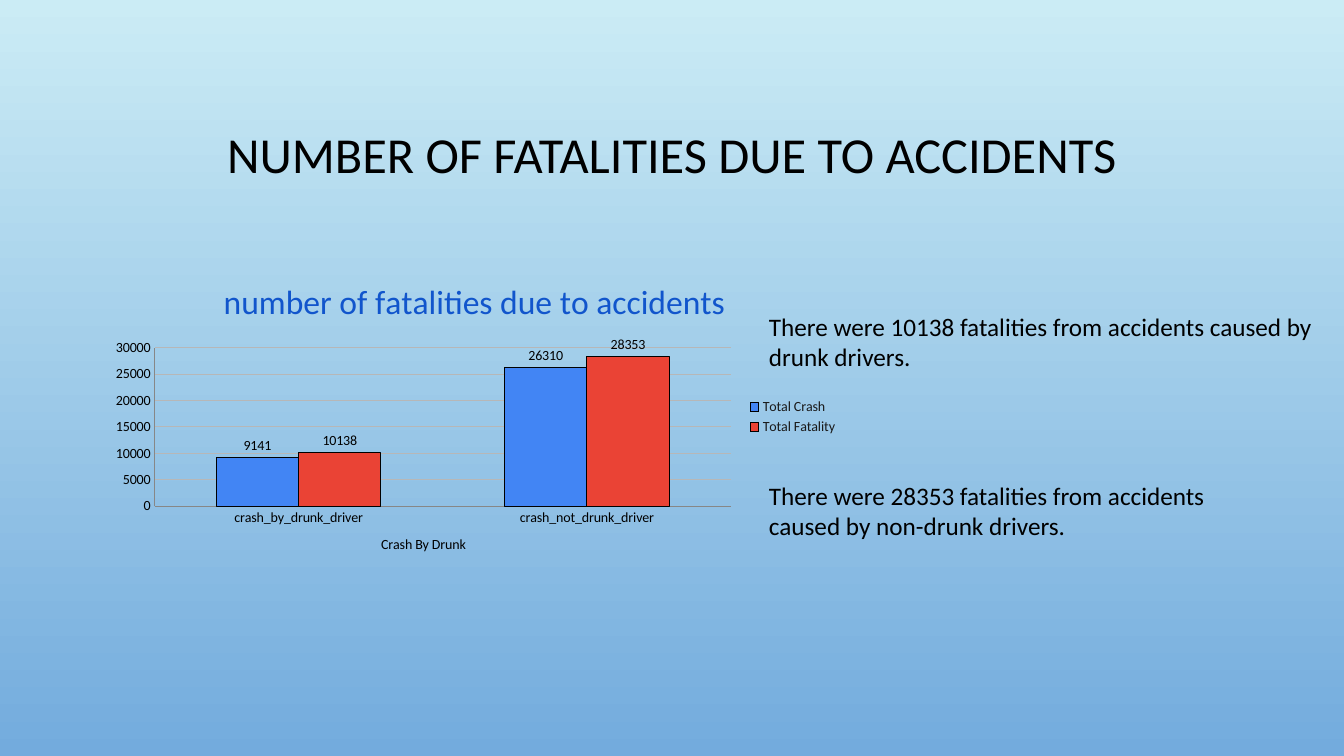
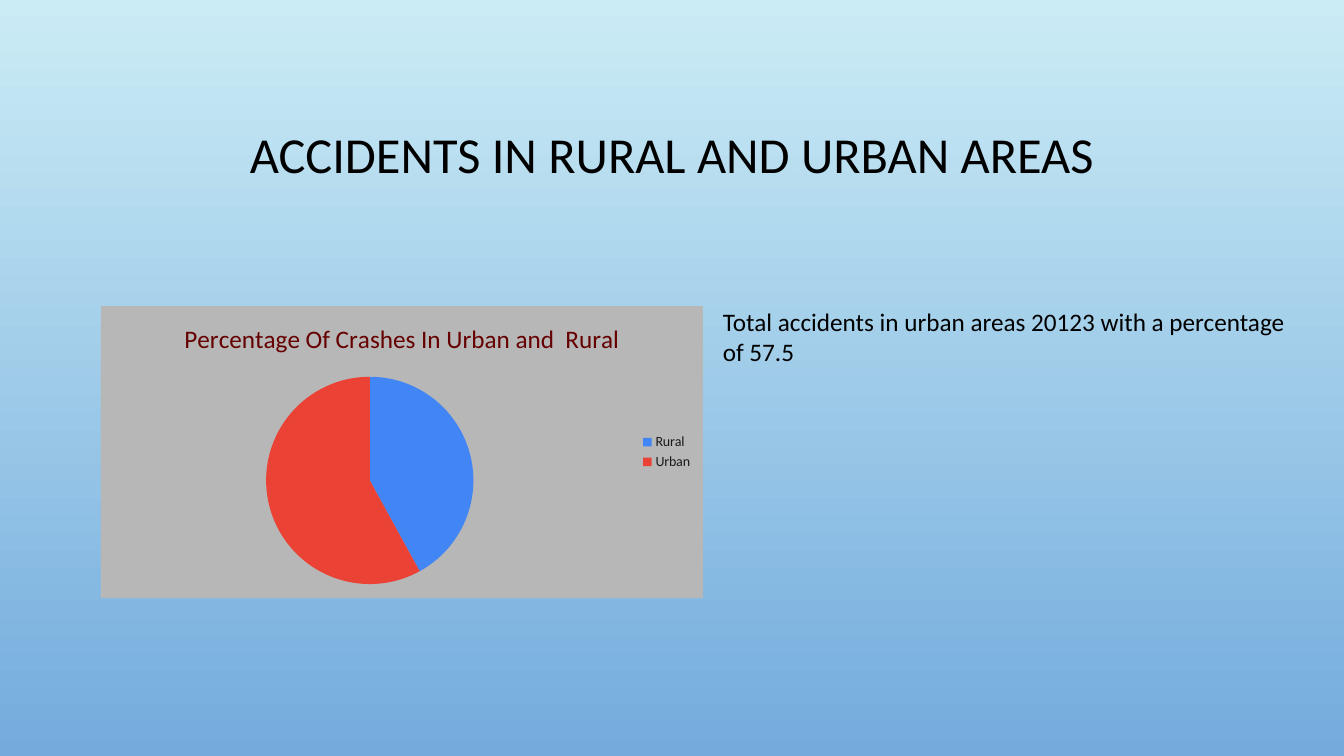
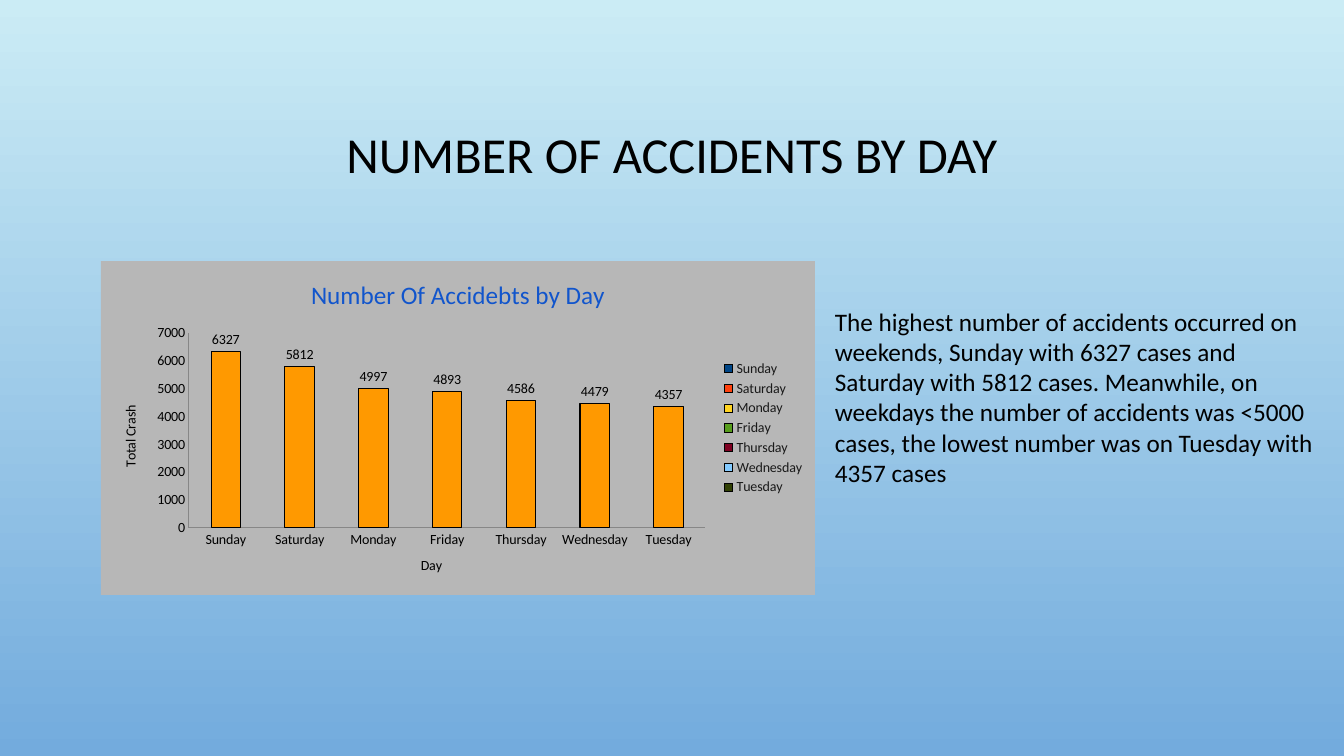
from dataclasses import dataclass
from typing import Optional

from lxml import etree
from pptx import Presentation
from pptx import util as u
from pptx.chart import data as cd
from pptx.dml import color as col
from pptx.enum import chart as ce
from pptx.enum import text as te
from pptx.oxml import ns

WIDE, HIGH = 1344, 756
UNIT = 12192000 / WIDE


@dataclass(frozen=True)
class Theme:
    font: str = "Calibri"
    top: str = "CBECF5"
    base: str = "73ABDD"
    ink: str = "000000"
    key: str = "1A1A1A"
    axis: str = "878787"
    grey: str = "B7B7B7"
    blue: str = "4285F4"
    red: str = "EA4335"
    gold: str = "FF9900"
    link: str = "1155CC"
    wine: str = "660000"
    head: int = 36
    large: int = 24
    body: int = 18
    small: int = 10
    rule: float = 0.75


T = Theme()


@dataclass(frozen=True)
class Box:
    x: int
    y: int
    w: int
    h: int

    def emu(self) -> tuple[u.Emu, ...]:
        return tuple(px(n) for n in (self.x, self.y, self.w, self.h))


@dataclass(frozen=True)
class Note:
    box: Box
    words: str


@dataclass(frozen=True)
class Series:
    name: str
    vals: tuple[int, ...]


@dataclass(frozen=True)
class Graph:
    box: Box
    title: str
    size: int
    tint: str
    cats: tuple[str, ...]
    rows: tuple[Series, ...]
    hues: tuple[str, ...]
    pie: bool = False
    fill: Optional[str] = None
    foot: str = ""
    side: str = ""


@dataclass(frozen=True)
class Page:
    title: str
    graph: Graph
    notes: tuple[Note, ...]


HEAD = Box(101, 69, 1142, 176)

PAGES = (
    Page(
        "NUMBER OF FATALITIES DUE TO ACCIDENTS",
        Graph(
            Box(101, 261, 747, 312),
            "number of fatalities due to accidents", T.large, T.link,
            ("crash_by_drunk_driver", "crash_not_drunk_driver"),
            (Series("Total Crash", (9141, 26310)),
             Series("Total Fatality", (10138, 28353))),
            (T.blue, T.red),
            foot="Crash By Drunk",
        ),
        (
            Note(Box(759, 306, 605, 72),
                 "There were 10138 fatalities from accidents caused by drunk drivers."),
            Note(Box(759, 475, 542, 72),
                 "There were 28353 fatalities from accidents\n"
                 "caused by non-drunk drivers."),
        ),
    ),
    Page(
        "ACCIDENTS IN RURAL AND URBAN AREAS",
        Graph(
            Box(101, 306, 602, 292),
            "Percentage Of Crashes In Urban and  Rural", T.body, T.wine,
            ("Rural", "Urban"),
            (Series("Series 1", (42, 58)),),
            (T.blue, T.red),
            pie=True, fill=T.grey,
        ),
        (
            Note(Box(713, 301, 584, 72),
                 "Total accidents in urban areas 20123 with a percentage of 57.5"),
        ),
    ),
    Page(
        "NUMBER OF ACCIDENTS BY DAY",
        Graph(
            Box(101, 261, 714, 334),
            "Number Of Accidebts by Day", T.body, T.link,
            ("Sunday", "Saturday", "Monday", "Friday",
             "Thursday", "Wednesday", "Tuesday"),
            (Series("Total Crash", (6327, 5812, 4997, 4893, 4586, 4479, 4357)),),
            (T.gold,),
            fill=T.grey, foot="Day", side="Total Crash",
        ),
        (
            Note(Box(825, 301, 680, 194),
                 "The highest number of accidents occurred on\n"
                 "weekends, Sunday with 6327 cases and\n"
                 "Saturday with 5812 cases. Meanwhile, on\n"
                 "weekdays the number of accidents was <5000\n"
                 "cases, the lowest number was on Tuesday with\n"
                 "4357 cases"),
        ),
    ),
)


def px(n: int) -> u.Emu:
    return u.Emu(round(n * UNIT))


def rgb(hue: str) -> col.RGBColor:
    return col.RGBColor.from_string(hue)


def style(font, size: int, hue: str = T.ink) -> None:
    font.name = T.font
    font.size = u.Pt(size)
    font.bold = False
    font.color.rgb = rgb(hue)


def place(shape, box: Box) -> None:
    shape.left, shape.top, shape.width, shape.height = box.emu()


def paint(frame, size: int, hue: str = T.ink) -> None:
    for par in frame.paragraphs:
        for run in par.runs:
            style(run.font, size, hue)


def stroke(line, hue: str) -> None:
    line.color.rgb = rgb(hue)
    line.width = u.Pt(T.rule)


def add_head(slide, words: str) -> None:
    frame = slide.shapes.title.text_frame
    frame.text = words
    frame.auto_size = te.MSO_AUTO_SIZE.NONE
    frame.vertical_anchor = te.MSO_ANCHOR.MIDDLE
    par = frame.paragraphs[0]
    par.alignment = te.PP_ALIGN.CENTER
    par.line_spacing = 0.9
    paint(frame, T.head)


def add_note(slide, note: Note) -> None:
    frame = slide.shapes.add_textbox(*note.box.emu()).text_frame
    frame.word_wrap = True
    frame.auto_size = te.MSO_AUTO_SIZE.SHAPE_TO_FIT_TEXT
    frame.text = note.words
    paint(frame, T.body)


def back(chart, hue: Optional[str]) -> None:
    prop = etree.Element(ns.qn("c:spPr"))
    if hue:
        fill = etree.SubElement(prop, ns.qn("a:solidFill"))
        etree.SubElement(fill, ns.qn("a:srgbClr"), val=hue)
    else:
        etree.SubElement(prop, ns.qn("a:noFill"))
    line = etree.SubElement(prop, ns.qn("a:ln"))
    etree.SubElement(line, ns.qn("a:noFill"))
    chart.element.find(ns.qn("c:chart")).addnext(prop)


def set_axis(axis, words: str) -> None:
    axis.major_tick_mark = axis.minor_tick_mark = ce.XL_TICK_MARK.NONE
    style(axis.tick_labels.font, T.small)
    stroke(axis.format.line, T.axis)
    axis.has_title = bool(words)
    if words:
        frame = axis.axis_title.text_frame
        frame.text = words
        paint(frame, T.small)


def set_bars(chart, graph: Graph) -> None:
    plot = chart.plots[0]
    plot.gap_width = 150
    plot.vary_by_categories = len(graph.rows) == 1
    for row, hue in zip(plot.series, graph.hues):
        row.format.fill.solid()
        row.format.fill.fore_color.rgb = rgb(hue)
        stroke(row.format.line, T.ink)
        tags = row.data_labels
        tags.show_value = True
        tags.position = ce.XL_LABEL_POSITION.OUTSIDE_END
        style(tags.font, T.small)
    set_axis(chart.category_axis, graph.foot)
    set_axis(chart.value_axis, graph.side)
    chart.value_axis.has_major_gridlines = True
    stroke(chart.value_axis.major_gridlines.format.line, T.grey)


def set_pie(chart, graph: Graph) -> None:
    plot = chart.plots[0]
    plot.vary_by_categories = True
    plot.has_data_labels = False
    for i, hue in enumerate(graph.hues):
        fill = plot.series[0].points[i].format.fill
        fill.solid()
        fill.fore_color.rgb = rgb(hue)


def add_graph(slide, graph: Graph) -> None:
    data = cd.CategoryChartData()
    data.categories = graph.cats
    for row in graph.rows:
        data.add_series(row.name, row.vals)
    kind = ce.XL_CHART_TYPE.PIE if graph.pie else ce.XL_CHART_TYPE.COLUMN_CLUSTERED
    chart = slide.shapes.add_chart(kind, *graph.box.emu(), data).chart
    style(chart.font, T.small)
    back(chart, graph.fill)
    chart.has_title = True
    frame = chart.chart_title.text_frame
    frame.text = graph.title
    paint(frame, graph.size, graph.tint)
    chart.has_legend = True
    chart.legend.position = ce.XL_LEGEND_POSITION.RIGHT
    chart.legend.include_in_layout = False
    style(chart.legend.font, T.small, T.key)
    if graph.pie:
        set_pie(chart, graph)
    else:
        set_bars(chart, graph)


def set_base(deck):
    deck.slide_width, deck.slide_height = px(WIDE), px(HIGH)
    fill = deck.slide_master.background.fill
    fill.gradient()
    fill.gradient_angle = 270
    for stop, hue in zip(fill.gradient_stops, (T.top, T.base)):
        stop.color.rgb = rgb(hue)
    plan = deck.slide_layouts.get_by_name("Title Only")
    place(plan.placeholders[0], HEAD)
    return plan


def main() -> None:
    deck = Presentation()
    plan = set_base(deck)
    for page in PAGES:
        slide = deck.slides.add_slide(plan)
        add_head(slide, page.title)
        add_graph(slide, page.graph)
        for note in page.notes:
            add_note(slide, note)
    deck.save("out.pptx")


if __name__ == "__main__":
    main()
